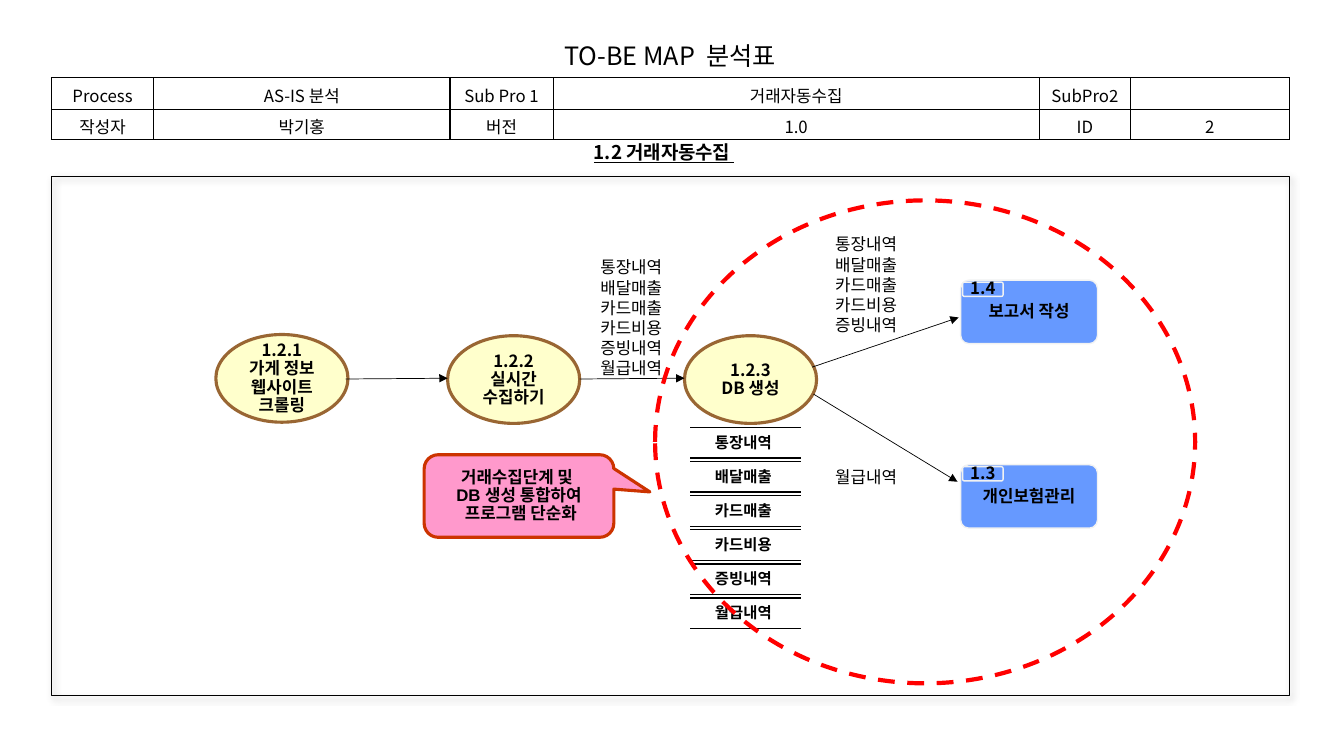
from dataclasses import dataclass

from lxml.etree import SubElement
from pptx import Presentation
from pptx.dml.color import RGBColor
from pptx.enum.dml import MSO_LINE
from pptx.enum.shapes import MSO_CONNECTOR, MSO_SHAPE
from pptx.enum.text import MSO_ANCHOR, MSO_AUTO_SIZE, PP_ALIGN
from pptx.oxml.ns import qn
from pptx.util import Cm, Pt

OVAL, RECT = MSO_SHAPE.OVAL, MSO_SHAPE.RECTANGLE
ROUND, BUBBLE = MSO_SHAPE.ROUNDED_RECTANGLE, MSO_SHAPE.ROUNDED_RECTANGULAR_CALLOUT
LEFT, CENTER = PP_ALIGN.LEFT, PP_ALIGN.CENTER
MIDDLE, TOP = MSO_ANCHOR.MIDDLE, MSO_ANCHOR.TOP
GROW, DASH, STRAIGHT = MSO_AUTO_SIZE.SHAPE_TO_FIT_TEXT, MSO_LINE.DASH, MSO_CONNECTOR.STRAIGHT

BLACK = RGBColor(0x00, 0x00, 0x00)
WHITE = RGBColor(0xFF, 0xFF, 0xFF)
CREAM = RGBColor(0xFF, 0xFF, 0xCC)
BROWN = RGBColor(0x99, 0x66, 0x33)
BLUE = RGBColor(0x66, 0x99, 0xFF)
PALE = RGBColor(0xF1, 0xF2, 0xF2)
RED = RGBColor(0xFF, 0x00, 0x00)
PINK = RGBColor(0xFF, 0x99, 0xCC)
RUST = RGBColor(0xCC, 0x33, 0x00)
SANS, ARIAL = "Noto Sans CJK KR", "Arial"


@dataclass
class Box:
    x: float
    y: float
    w: float
    h: float

    def cm(self):
        return [Cm(v) for v in (self.x, self.y, self.w, self.h)]


@dataclass
class Style:
    size: float = 12
    bold: bool = True
    under: bool = False
    align: int = CENTER
    pitch: float | None = 13
    face: str = SANS


@dataclass
class Step:
    x: float
    y: float
    text: str


@dataclass
class Task:
    y: float
    code: str
    text: str


@dataclass
class Label:
    x: float
    y: float
    h: float
    text: str


@dataclass
class Arrow:
    x1: float
    y1: float
    x2: float
    y2: float


NODE = Style()
STORE = Style(size=11, pitch=12)
NOTE = Style(bold=False, align=LEFT, pitch=14.4)
CELL = Style(bold=False, pitch=None)
TITLE = Style(size=18, bold=False, pitch=None)
HEAD = Style(size=13.5, under=True, pitch=None)
SPEECH = Style(face=ARIAL)

INFO = [
    ["Process", "AS-IS 분석", "Sub Pro 1", "거래자동수집", "SubPro2", ""],
    ["작성자", "박기홍", "버전", "1.0", "ID", "2"],
]
STEPS = [
    Step(5.44, 8.43, "1.2.1\n가게 정보 웹사이트 크롤링"),
    Step(11.28, 8.46, "1.2.2\n실시간\n수집하기"),
    Step(17.25, 8.46, "1.2.3\nDB 생성"),
]
STORES = ["통장내역", "배달매출", "카드매출", "카드비용", "증빙내역", "월급내역"]
TASKS = [Task(7.06, "1.4", "보고서 작성"), Task(11.71, "1.3", "개인보험관리")]
LABELS = [
    Label(14.88, 6.35, 3.33, "\n".join(STORES)),
    Label(20.8, 5.77, 3.33, "\n".join(STORES[:5])),
    Label(20.8, 11.63, 0.76, STORES[5]),
]
ARROWS = [
    Arrow(8.71, 9.55, 11.28, 9.53),
    Arrow(14.61, 9.55, 17.25, 9.53),
    Arrow(20.47, 9.25, 24.16, 8.0),
    Arrow(20.5, 9.93, 24.13, 12.14),
]


def write(frame, text: str, style: Style) -> None:
    frame.text = text
    for par in frame.paragraphs:
        par.alignment = style.align
        if style.pitch:
            par.line_spacing = Pt(style.pitch)
        font = par.font
        font.size, font.bold, font.underline = Pt(style.size), style.bold, style.under
        font.color.rgb, font.name = BLACK, style.face
        base = par._p.pPr.find(qn("a:defRPr"))
        SubElement(base, qn("a:ea"), typeface=SANS)
        if not par.text:
            SubElement(par._p, qn("a:endParaRPr"), sz=str(style.size * 100))


def set_up(frame, pad: tuple = (0, 0), anchor=MIDDLE, wrap: bool = True) -> None:
    frame.word_wrap, frame.vertical_anchor = wrap, anchor
    frame.margin_left = frame.margin_right = Cm(pad[0])
    frame.margin_top = frame.margin_bottom = Cm(pad[1])


def add_shape(slide, kind: int, box: Box, fill: RGBColor | None, line: RGBColor, width: float):
    shape = slide.shapes.add_shape(kind, *box.cm())
    shape.shadow.inherit = False
    if fill is None:
        shape.fill.background()
    else:
        shape.fill.solid()
        shape.fill.fore_color.rgb = fill
    shape.line.color.rgb, shape.line.width = line, Pt(width)
    return shape


def add_text(slide, box: Box, text: str, style: Style, pad: tuple, anchor=TOP, wrap: bool = True):
    frame = slide.shapes.add_textbox(*box.cm()).text_frame
    set_up(frame, pad, anchor, wrap)
    write(frame, text, style)
    return frame


def add_line(slide, a: Arrow, width: float, head: bool = False) -> None:
    line = slide.shapes.add_connector(STRAIGHT, Cm(a.x1), Cm(a.y1), Cm(a.x2), Cm(a.y2))
    line.line.color.rgb, line.line.width = BLACK, Pt(width)
    if head:
        SubElement(line.line._get_or_add_ln(), qn("a:tailEnd"), type="triangle")
    SubElement(line._element.spPr, qn("a:effectLst"))


def add_grid(slide, box: Box, cols: list, rows: list, data: list, style: Style, edge: RGBColor) -> None:
    grid = slide.shapes.add_table(len(rows), len(cols), *box.cm()).table
    grid.first_row = grid.horz_banding = False
    for col, w in zip(grid.columns, cols):
        col.width = Cm(w)
    for row, h, texts in zip(grid.rows, rows, data):
        row.height = Cm(h)
        for cell, text in zip(row.cells, texts):
            props = cell._tc.get_or_add_tcPr()
            for side in "LRTB":
                ln = SubElement(props, qn(f"a:ln{side}"), w=str(Pt(1)))
                SubElement(SubElement(ln, qn("a:solidFill")), qn("a:srgbClr"), val=str(edge))
            cell.fill.background()
            write(cell.text_frame, text, style)


def add_panel(slide) -> None:
    panel = add_shape(slide, RECT, Box(1.3, 4.45, 31.19, 13.08), None, BLACK, 0.75)
    glow = panel._element.spPr.find(qn("a:effectLst"))
    cast = SubElement(glow, qn("a:outerShdw"), blurRad=str(Pt(5)), dist=str(Pt(3)), dir="2700000")
    tint = SubElement(cast, qn("a:srgbClr"), val=str(BLACK))
    SubElement(tint, qn("a:alpha"), val="40000")


def main() -> None:
    deck = Presentation()
    deck.slide_width, deck.slide_height = Cm(33.87), Cm(19.05)
    slide = deck.slides.add_slide(deck.slide_layouts[6])

    # Headings and info table
    add_text(slide, Box(4.04, 3.45, 25.4, 0.76), "1.2 거래자동수집 ", HEAD, (0.3, 0.15), MIDDLE, False)
    add_grid(slide, Box(7.72, 0.79, 18.34, 1.02), [18.34], [1.02], [["TO-BE MAP  분석표"]], TITLE, WHITE)
    cols = [2.57, 7.47, 2.6, 12.25, 2.3, 4]
    add_grid(slide, Box(1.3, 1.96, 31.19, 1.53), cols, [0.79, 0.74], INFO, CELL, BLACK)
    add_panel(slide)

    # Data stores
    for i, name in enumerate(STORES):
        y = 10.77 + 0.86 * i
        for edge in (y, y + 0.77):
            add_line(slide, Arrow(17.4, edge, 20.19, edge), 1)
        add_text(slide, Box(17.4, y, 2.67, 0.84), name, STORE, (0.33, 0.18))

    # Flow labels
    for tag in LABELS:
        frame = add_text(slide, Box(tag.x, tag.y, 3.63, tag.h), tag.text, NOTE, (0.25, 0.13))
        frame.auto_size = GROW

    # Process steps
    for step in STEPS:
        oval = add_shape(slide, OVAL, Box(step.x, step.y, 3.33, 2.21), CREAM, BROWN, 2.25)
        set_up(oval.text_frame)
        write(oval.text_frame, step.text, NODE)

    # Next tasks, each with a number badge
    for task in TASKS:
        body = (Box(24.21, task.y, 3.45, 1.6), task.text, (0.1, 0.1), True)
        badge = (Box(24.26, task.y + 0.05, 1.02, 0.36), task.code, (0.2, 0.1), False)
        for box, text, pad, wrap in (body, badge):
            card = add_shape(slide, ROUND, box, BLUE, PALE, 1)
            card.adjustments[0] = 0.13
            set_up(card.text_frame, pad, wrap=wrap)
            write(card.text_frame, text, NODE)

    for arrow in ARROWS:
        add_line(slide, arrow, 0.5, head=True)

    # Merged scope and its callout
    scope = add_shape(slide, OVAL, Box(16.51, 5.05, 13.61, 12.17), None, RED, 3)
    scope.line.dash_style = DASH
    speech = add_shape(slide, BUBBLE, Box(10.69, 11.46, 4.78, 2.08), PINK, RUST, 2.25)
    for i, value in enumerate((0.69, -0.05, 0.17)):
        speech.adjustments[i] = value
    set_up(speech.text_frame)
    write(speech.text_frame, "거래수집단계 및 \nDB 생성 통합하여\n 프로그램 단순화", SPEECH)

    deck.save("out.pptx")


if __name__ == "__main__":
    main()
